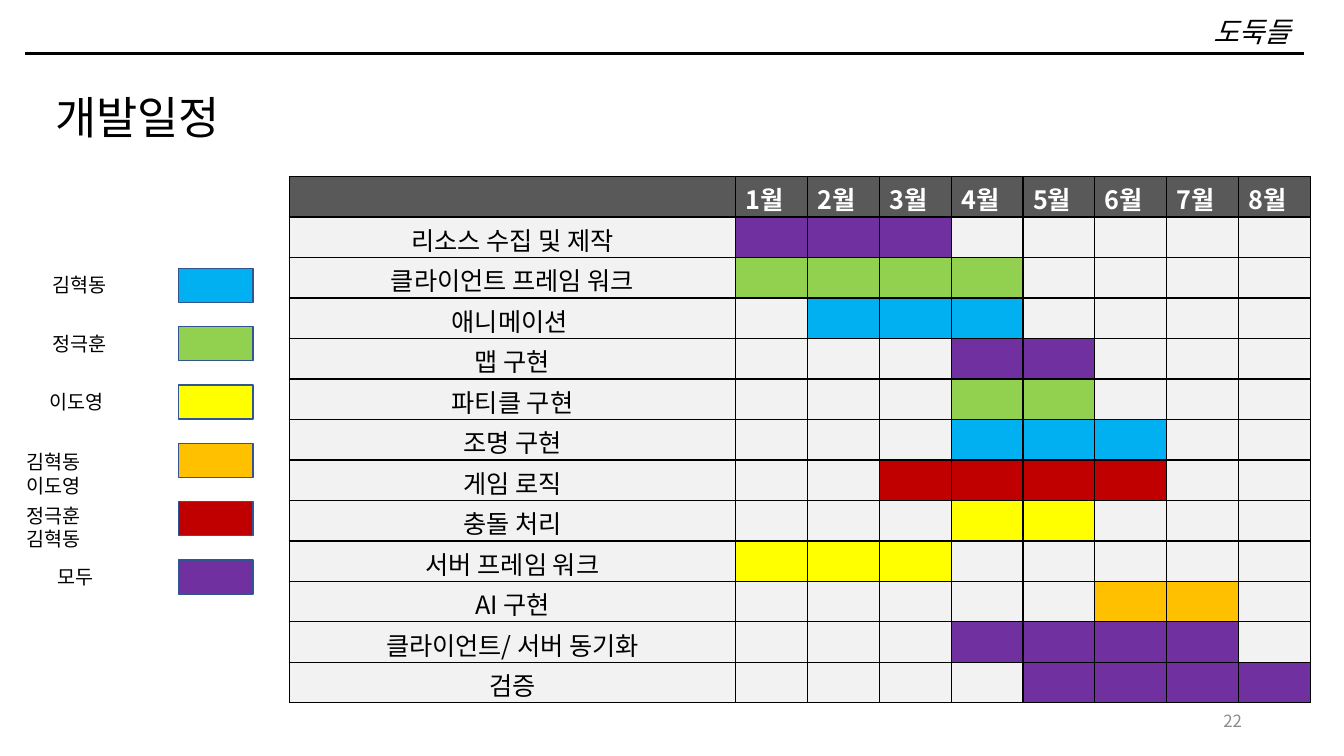
from lxml.etree import SubElement
from pptx import Presentation
from pptx.dml.color import RGBColor
from pptx.enum.shapes import MSO_CONNECTOR, MSO_SHAPE
from pptx.enum.text import MSO_ANCHOR, MSO_AUTO_SIZE, PP_ALIGN
from pptx.oxml.ns import qn
from pptx.util import Cm, Pt

COLORS = {
    "black": "000000", "white": "FFFFFF", "number": "8C8C8C",
    "header": "595959", "empty": "F2F2F2", "outline": "325491",
    "blue": "00B0F0", "green": "92D050", "yellow": "FFFF00",
    "orange": "FFC000", "red": "C00000", "purple": "7030A0",
}

# Task, first month, last month, colour of the people in charge
TASKS = [
    ("리소스 수집 및 제작", 1, 3, "purple"),
    ("클라이언트 프레임 워크", 1, 4, "green"),
    ("애니메이션 ", 2, 4, "blue"),
    ("맵 구현", 4, 5, "purple"),
    ("파티클 구현", 4, 5, "green"),
    ("조명 구현", 4, 6, "blue"),
    ("게임 로직", 3, 6, "red"),
    ("충돌 처리", 4, 5, "yellow"),
    ("서버 프레임 워크", 1, 3, "yellow"),
    ("AI 구현", 6, 7, "orange"),
    ("클라이언트/ 서버 동기화", 4, 7, "purple"),
    ("검증", 5, 8, "purple"),
]
MONTHS = range(1, 9)

# Names, colour, left edge, shift from the swatch top, width, right inset
LEGEND = [
    ("김혁동", "blue", 1.07, 0, 1.88, 0.25),
    ("정극훈", "green", 1.07, 0, 1.88, 0.25),
    ("이도영", "yellow", 0.99, 0, 1.88, 0.25),
    ("김혁동 이도영", "orange", 0.41, 0.05, 3.35, 1.5),
    ("정극훈 김혁동", "red", 0.41, -0.07, 3.35, 1.5),
    ("모두", "purple", 1.19, 0, 1.42, 0.25),
]


def rgb(name):
    return RGBColor.from_string(COLORS[name])


class SlideBuilder:
    font = "Noto Sans CJK KR"

    def __init__(self, page):
        self.page = page

    def format_text(self, frame, size, color="black", align=None, bold=False, italic=False):
        for para in frame.paragraphs:
            para.alignment = align
            for span in para.runs:
                span.font.name = self.font
                span.font.size = Pt(size)
                span.font.bold = bold
                span.font.italic = italic
                span.font.color.rgb = rgb(color)
                east_asian = SubElement(span.font._element, qn("a:ea"))
                east_asian.set("typeface", self.font)

    def title(self, text, left, top, width, height, size):
        box = self.page.shapes.title
        box.left, box.top, box.width, box.height = Cm(left), Cm(top), Cm(width), Cm(height)
        frame = box.text_frame
        frame.text = text
        frame.auto_size = MSO_AUTO_SIZE.NONE
        frame.vertical_anchor = MSO_ANCHOR.BOTTOM
        frame.paragraphs[0].line_spacing = 0.9
        self.format_text(frame, size, align=PP_ALIGN.CENTER, italic=True)

    def text(self, text, left, top, width, height, size, color="black",
             align=None, anchor=MSO_ANCHOR.TOP, wrap=True, right_inset=0.25):
        box = self.page.shapes.add_textbox(Cm(left), Cm(top), Cm(width), Cm(height))
        frame = box.text_frame
        frame.text = text
        frame.word_wrap = wrap
        frame.vertical_anchor = anchor
        frame.margin_right = Cm(right_inset)
        self.format_text(frame, size, color, align)

    def rule(self, left, right, top, weight):
        line = self.page.shapes.add_connector(
            MSO_CONNECTOR.STRAIGHT, Cm(left), Cm(top), Cm(right), Cm(top))
        line.line.color.rgb = rgb("black")
        line.line.width = Pt(weight)
        SubElement(line._element.spPr, qn("a:effectLst"))

    def swatch(self, color, left, top, width, height):
        box = self.page.shapes.add_shape(
            MSO_SHAPE.RECTANGLE, Cm(left), Cm(top), Cm(width), Cm(height))
        box.shadow.inherit = False
        box.fill.solid()
        box.fill.fore_color.rgb = rgb(color)
        box.line.color.rgb = rgb("outline")
        box.line.width = Pt(1)

    def table(self, rows, columns, left, top, widths, row_height):
        frame = self.page.shapes.add_table(
            rows, columns, Cm(left), Cm(top), Cm(sum(widths)), Cm(row_height * rows))
        for column, width in zip(frame.table.columns, widths):
            column.width = Cm(width)
        for row in frame.table.rows:
            row.height = Cm(row_height)
        return frame.table

    def cell(self, cell, fill, text="", color="black", align=None, bold=False):
        cell.text_frame.text = text
        cell.margin_top, cell.margin_bottom = Cm(0.1), Cm(0)
        self.format_text(cell.text_frame, 18, color, align, bold)
        properties = cell._tc.get_or_add_tcPr()
        for side in ("lnL", "lnR", "lnT", "lnB"):
            border = SubElement(properties, qn(f"a:{side}"), w=str(Pt(1)))
            solid = SubElement(border, qn("a:solidFill"))
            SubElement(solid, qn("a:srgbClr"), val=COLORS["black"])
        cell.fill.solid()
        cell.fill.fore_color.rgb = rgb(fill)


def main():
    deck = Presentation()
    deck.slide_width, deck.slide_height = Cm(33.87), Cm(19.05)
    builder = SlideBuilder(deck.slides.add_slide(deck.slide_layouts[5]))

    # Header, heading and page number
    builder.title("도둑들", 30.02, 0.33, 3.05, 1.02, 20)
    builder.rule(0.64, 32.87, 1.35, 1.75)
    builder.text("22", 23.93, 17.65, 7.62, 1.02, 12, "number",
                 PP_ALIGN.RIGHT, MSO_ANCHOR.MIDDLE)
    builder.text("개발일정", 1.14, 2.13, 5.05, 1.63, 32, align=PP_ALIGN.JUSTIFY, wrap=False)

    # Schedule table
    widths = [11.25] + [1.81] * len(MONTHS)
    schedule = builder.table(len(TASKS) + 1, len(widths), 7.29, 4.45, widths, 1.02)
    builder.cell(schedule.cell(0, 0), "header")
    for month in MONTHS:
        builder.cell(schedule.cell(0, month), "header", f"{month}월", "white", bold=True)
    for row, (task, first, last, color) in enumerate(TASKS, start=1):
        builder.cell(schedule.cell(row, 0), "empty", task, align=PP_ALIGN.CENTER)
        for month in MONTHS:
            builder.cell(schedule.cell(row, month), color if first <= month <= last else "empty")

    # Legend of people
    for index, (names, color, left, shift, width, inset) in enumerate(LEGEND):
        top = 6.76 + 1.47 * index
        builder.swatch(color, 4.5, top, 1.88, 0.86)
        builder.text(names, left, top + shift, width, 0.86, 14,
                     wrap=" " in names, right_inset=inset)

    deck.save("out.pptx")


if __name__ == "__main__":
    main()
